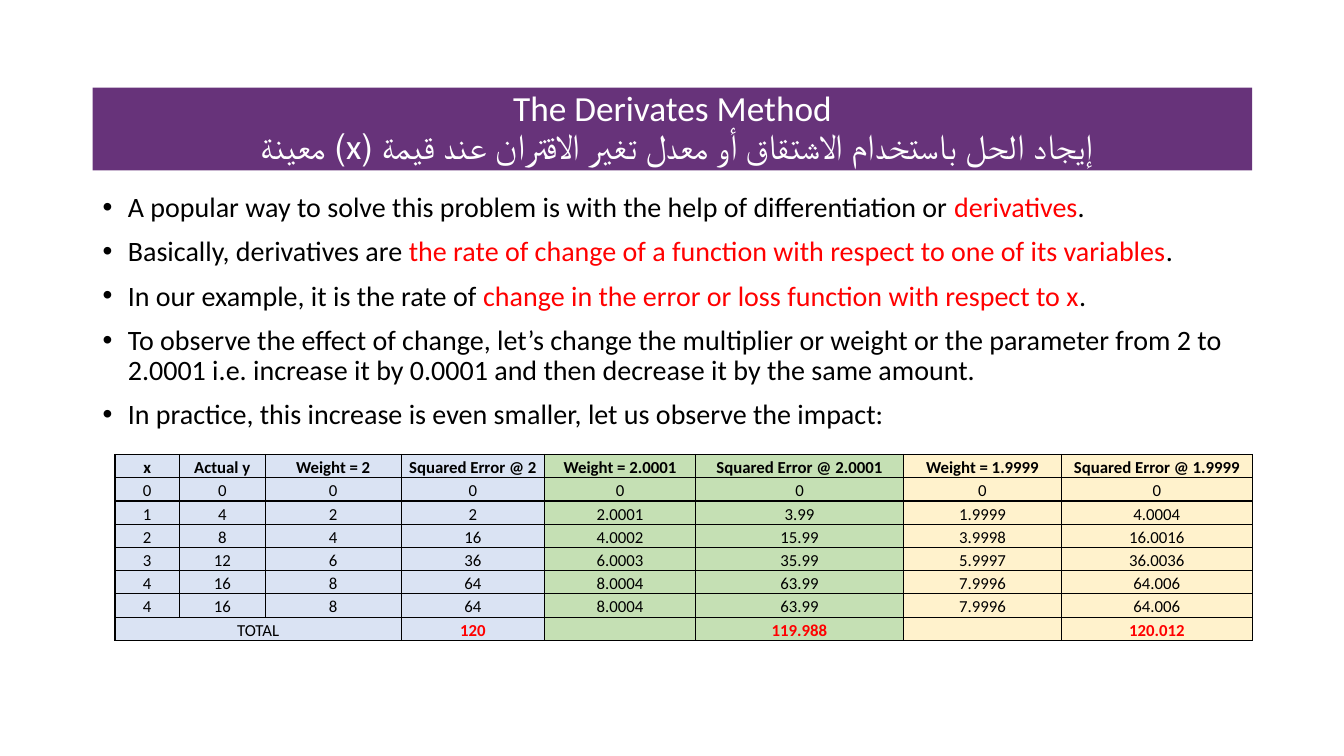
from lxml.etree import SubElement
from pptx import Presentation
from pptx.dml.color import RGBColor
from pptx.enum.shapes import MSO_SHAPE
from pptx.enum.text import MSO_ANCHOR, PP_ALIGN
from pptx.oxml.ns import qn
from pptx.util import Inches, Pt

COLORS = {
    "purple": "67337A", "white": "FFFFFF", "black": "000000", "red": "FF0000",
    "blue": "DAE3F3", "green": "C5E0B4", "yellow": "FFF2CC",
}
TITLE = ("The Derivates Method\v"
         "إيجاد الحل باستخدام الاشتقاق أو معدل تغير الاقتران عند قيمة (x) معينة ")
# Each bullet alternates plain and highlighted text.
BULLETS = [
    ["A popular way to solve this problem is with the help of differentiation or ",
     "derivatives", "."],
    ["Basically, derivatives are ",
     "the rate of change of a function with respect to one of its variables", "."],
    ["In our example, it is the rate of ",
     "change in the error or loss function with respect to x", "."],
    ["To observe the effect of change, let’s change the multiplier or weight or the "
     "parameter from 2 to 2.0001 i.e. increase it by 0.0001 and then decrease it by "
     "the same amount."],
    ["In practice, this increase is even smaller, let us observe the impact:"],
]
ERROR_ROWS = [
    ["x", "Actual y", "Weight = 2", "Squared Error @ 2", "Weight = 2.0001",
     "Squared Error @ 2.0001", "Weight = 1.9999", "Squared Error @ 1.9999"],
    ["0"] * 8,
    ["1", "4", "2", "2", "2.0001", "3.99", "1.9999", "4.0004"],
    ["2", "8", "4", "16", "4.0002", "15.99", "3.9998", "16.0016"],
    ["3", "12", "6", "36", "6.0003", "35.99", "5.9997", "36.0036"],
    *[["4", "16", "8", "64", "8.0004", "63.99", "7.9996", "64.006"]] * 2,
    ["TOTAL", "", "", "120", "", "119.988", "", "120.012"],
]
COLUMN_WIDTHS = [0.64, 0.85, 1.35, 1.42, 1.5, 2.06, 1.57, 1.89]
COLUMN_FILLS = ["blue"] * 4 + ["green"] * 2 + ["yellow"] * 2
ROW_HEIGHT = 0.23


class SlideBuilder:
    def __init__(self, slide, font_name="Calibri"):
        self.slide = slide
        self.font_name = font_name

    def color(self, name):
        return RGBColor.from_string(COLORS[name])

    def style(self, font, size, color, bold=False):
        font.name = self.font_name
        font.size = Pt(size)
        font.bold = bold
        font.color.rgb = self.color(color)

    def banner(self, text, left, top, width, height):
        shape = self.slide.shapes.add_shape(
            MSO_SHAPE.RECTANGLE, Inches(left), Inches(top), Inches(width), Inches(height))
        shape.shadow.inherit = False
        shape.fill.solid()
        shape.fill.fore_color.rgb = self.color("purple")
        shape.line.fill.background()
        shape.text_frame.vertical_anchor = MSO_ANCHOR.MIDDLE
        paragraph = shape.text_frame.paragraphs[0]
        paragraph.text = text
        paragraph.alignment = PP_ALIGN.CENTER
        paragraph.line_spacing = 0.9
        paragraph._p.get_or_add_pPr().set("rtl", "1")
        self.style(paragraph.font, 25.2, "white")

    def bullet_list(self, bullets, left, top, width, height):
        box = self.slide.shapes.add_textbox(
            Inches(left), Inches(top), Inches(width), Inches(height))
        frame = box.text_frame
        frame.word_wrap = True
        for index, parts in enumerate(bullets):
            paragraph = frame.add_paragraph() if index else frame.paragraphs[0]
            paragraph.line_spacing = 0.9
            paragraph.space_before = Pt(10 if index else 0)
            properties = paragraph._p.get_or_add_pPr()
            properties.set("marL", str(Inches(0.25)))
            properties.set("indent", str(Inches(-0.25)))
            SubElement(properties, qn("a:buFont"), typeface="Arial")
            SubElement(properties, qn("a:buChar"), char="•")
            self.style(paragraph.font, 20, "black")
            for position, part in enumerate(parts):
                run = paragraph.add_run()
                run.text = part
                if position % 2:
                    run.font.color.rgb = self.color("red")

    def border(self, cell):
        properties = cell._tc.get_or_add_tcPr()
        for side in ("lnL", "lnR", "lnT", "lnB"):
            line = SubElement(properties, qn(f"a:{side}"), w=str(Pt(1)))
            fill = SubElement(line, qn("a:solidFill"))
            SubElement(fill, qn("a:srgbClr"), val=COLORS["black"])

    def cell(self, cell, text, fill, color, bold):
        self.border(cell)
        cell.fill.solid()
        cell.fill.fore_color.rgb = self.color(fill)
        cell.margin_left = cell.margin_right = Inches(0.07)
        cell.margin_top = cell.margin_bottom = 0
        paragraph = cell.text_frame.paragraphs[0]
        paragraph.alignment = PP_ALIGN.CENTER
        paragraph.line_spacing = 1.15
        paragraph.space_after = Pt(8)
        self.style(paragraph.font, 12, color, bold)
        if text:
            paragraph.add_run().text = text
        else:
            # An empty cell takes its line height from the end mark.
            SubElement(paragraph._p, qn("a:endParaRPr"), sz="1200")

    def error_table(self, rows, left, top):
        table = self.slide.shapes.add_table(
            len(rows), len(COLUMN_WIDTHS), Inches(left), Inches(top),
            Inches(sum(COLUMN_WIDTHS)), Inches(ROW_HEIGHT * len(rows))).table
        for column, width in zip(table.columns, COLUMN_WIDTHS):
            column.width = Inches(width)
        last = len(rows) - 1
        for row_index, values in enumerate(rows):
            table.rows[row_index].height = Inches(ROW_HEIGHT)
            for column_index, text in enumerate(values):
                is_total = row_index == last and column_index > 0
                self.cell(table.cell(row_index, column_index), text,
                          COLUMN_FILLS[column_index],
                          "red" if is_total else "black",
                          bold=is_total or row_index == 0)
        table.cell(last, 0).merge(table.cell(last, 2))


def main():
    presentation = Presentation()
    presentation.slide_width = Inches(13.33)
    presentation.slide_height = Inches(7.5)
    builder = SlideBuilder(presentation.slides.add_slide(presentation.slide_layouts[6]))
    builder.banner(TITLE, 0.92, 0.87, 11.5, 0.82)
    builder.bullet_list(BULLETS, 0.92, 1.87, 11.5, 2.47)
    builder.error_table(ERROR_ROWS, 1.14, 4.51)
    presentation.save("out.pptx")


if __name__ == "__main__":
    main()
